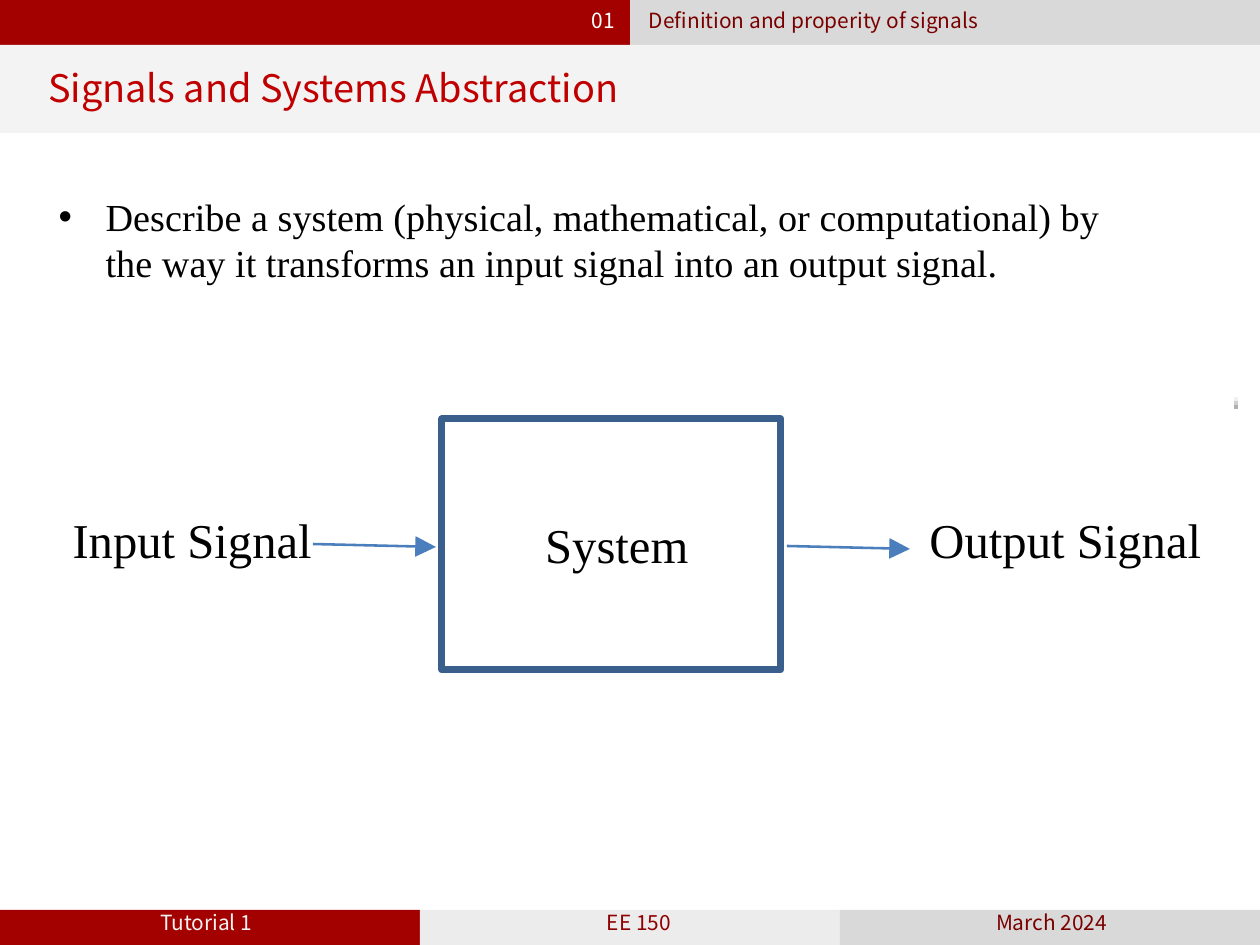
from lxml import etree
from pptx import Presentation
from pptx.dml.color import RGBColor
from pptx.enum.shapes import MSO_CONNECTOR, MSO_SHAPE
from pptx.enum.text import MSO_ANCHOR, MSO_AUTO_SIZE, PP_ALIGN
from pptx.oxml.ns import qn
from pptx.util import Emu, Pt

LEFT, CENTER = PP_ALIGN.LEFT, PP_ALIGN.CENTER
TOP = MSO_ANCHOR.TOP
FIXED_SIZE = MSO_AUTO_SIZE.NONE
RECTANGLE = MSO_SHAPE.RECTANGLE
STRAIGHT = MSO_CONNECTOR.STRAIGHT

WIDTH, HEIGHT = 1260, 945
EMU_PER_PX = 914400 / 250
SANS, SERIF = "Noto Sans CJK SC", "Times New Roman"
RED, DARK_RED, GREY, BLUE = "A30000", "7A0000", "D9D9D9", "4B7EBC"


def px(length):
    return Emu(round(length * EMU_PER_PX))


def color(hex_string):
    return RGBColor.from_string(hex_string)


class SlideBuilder:
    def __init__(self, presentation):
        self.slide = presentation.slides.add_slide(presentation.slide_layouts[5])
        self.shapes = self.slide.shapes

    def box(self, left, top, width, height, fill=None, line=None, weight=0):
        shape = self.shapes.add_shape(RECTANGLE, px(left), px(top), px(width), px(height))
        shape.shadow.inherit = False
        if fill:
            shape.fill.solid()
            shape.fill.fore_color.rgb = color(fill)
        else:
            shape.fill.background()
        if line:
            shape.line.color.rgb = color(line)
            shape.line.width = Pt(weight)
            etree.SubElement(shape._element.spPr.find(qn("a:ln")), qn("a:round"))
        else:
            shape.line.fill.background()

    def line(self, start, end, hex_string, weight, arrow=False):
        connector = self.shapes.add_connector(STRAIGHT, *map(px, start + end))
        connector.line.color.rgb = color(hex_string)
        connector.line.width = Pt(weight)
        properties = connector._element.spPr
        if arrow:
            etree.SubElement(properties.find(qn("a:ln")), qn("a:tailEnd"), type="triangle")
        etree.SubElement(properties, qn("a:effectLst"))

    def set_text(self, shape, text, font, size, hex_string, align, spacing, inset, bullet_indent):
        frame = shape.text_frame
        frame.auto_size = FIXED_SIZE
        frame.word_wrap = True
        frame.vertical_anchor = TOP
        frame.margin_left = frame.margin_right = px(inset[0])
        frame.margin_top, frame.margin_bottom = px(inset[1]), px(12)
        paragraph = frame.paragraphs[0]
        paragraph.alignment = align
        if spacing:
            paragraph.line_spacing = Pt(spacing)
        if bullet_indent:
            properties = paragraph._p.get_or_add_pPr()
            properties.set("marL", str(px(bullet_indent)))
            properties.set("indent", str(-px(bullet_indent)))
            etree.SubElement(properties, qn("a:buFont"), typeface="Arial")
            etree.SubElement(properties, qn("a:buChar"), char="•")
        run = paragraph.add_run()
        run.text = text
        run.font.name = font
        run.font.size = Pt(size)
        run.font.color.rgb = color(hex_string)
        etree.SubElement(run._r.get_or_add_rPr(), qn("a:ea"), typeface=font)

    def bar_text(self, text, left, top, width, hex_string, align=LEFT):
        shape = self.shapes.add_textbox(px(left), px(top), px(width), px(30))
        self.set_text(shape, text, SANS, 6, hex_string, align, 5, (0, 0), 0)

    def body_text(self, text, left, top, width, height, size, align=LEFT, bullet_indent=0):
        shape = self.shapes.add_textbox(px(left), px(top), px(width), px(height))
        self.set_text(shape, text, SERIF, size, "000000", align, None, (25, 12), bullet_indent)

    def title(self, text, left, top, width, height):
        shape = self.shapes.title
        shape.left, shape.top, shape.width, shape.height = map(px, (left, top, width, height))
        self.set_text(shape, text, SANS, 10.9, "C00000", LEFT, 13, (0, 0), 0)
        # Bring the title in front of the band behind it
        self.shapes._spTree.append(shape._element)


def main():
    presentation = Presentation()
    presentation.slide_width, presentation.slide_height = px(WIDTH), px(HEIGHT)
    builder = SlideBuilder(presentation)

    # Header with section number and name
    half = WIDTH // 2
    builder.box(0, 0, half, 45, RED)
    builder.box(half, 0, half, 45, GREY)
    builder.bar_text("01", 592, 15, 38, "FFFFFF")
    builder.bar_text("Definition and properity of signals", 649, 15, 400, DARK_RED)

    # Title band
    builder.box(0, 45, WIDTH, 88, "F3F3F3")
    builder.title("Signals and Systems Abstraction", 48, 65, 898, 58)

    # Footer in three equal parts
    third = WIDTH // 3
    footer = [
        ("Tutorial 1", RED, "F2F2F2", 15, 382),
        ("EE 150", "ECECEC", "8F0000", 439, 400),
        ("March 2024", GREY, DARK_RED, 844, 415),
    ]
    for index, (text, fill, text_color, left, width) in enumerate(footer):
        builder.box(index * third, 910, third, 35, fill)
        builder.bar_text(text, left, 917, width, text_color, CENTER)

    # Fading tick at the right edge
    for index, shade in enumerate(["B0B0B0", "CFCFCF", "F0F0F0"]):
        bottom = 409 - 4 * index
        builder.line((1236, bottom), (1236, bottom - 4), shade, 1)

    # Statement
    builder.body_text(
        "Describe a system (physical, mathematical, or computational) by "
        "the way it transforms an input signal into an output signal.",
        34, 181, 1118, 118, 11, bullet_indent=47)

    # Block diagram
    builder.box(442, 419, 339, 251, line="3A5F8C", weight=2)
    builder.line((313, 544), (436, 547), BLUE, 0.75, arrow=True)
    builder.line((787, 546), (910, 549), BLUE, 0.75, arrow=True)
    builder.body_text("Input Signal", 48, 498, 290, 84, 14)
    builder.body_text("System", 442, 503, 350, 84, 14, CENTER)
    builder.body_text("Output Signal", 905, 498, 350, 84, 14)

    presentation.save("out.pptx")


if __name__ == "__main__":
    main()
